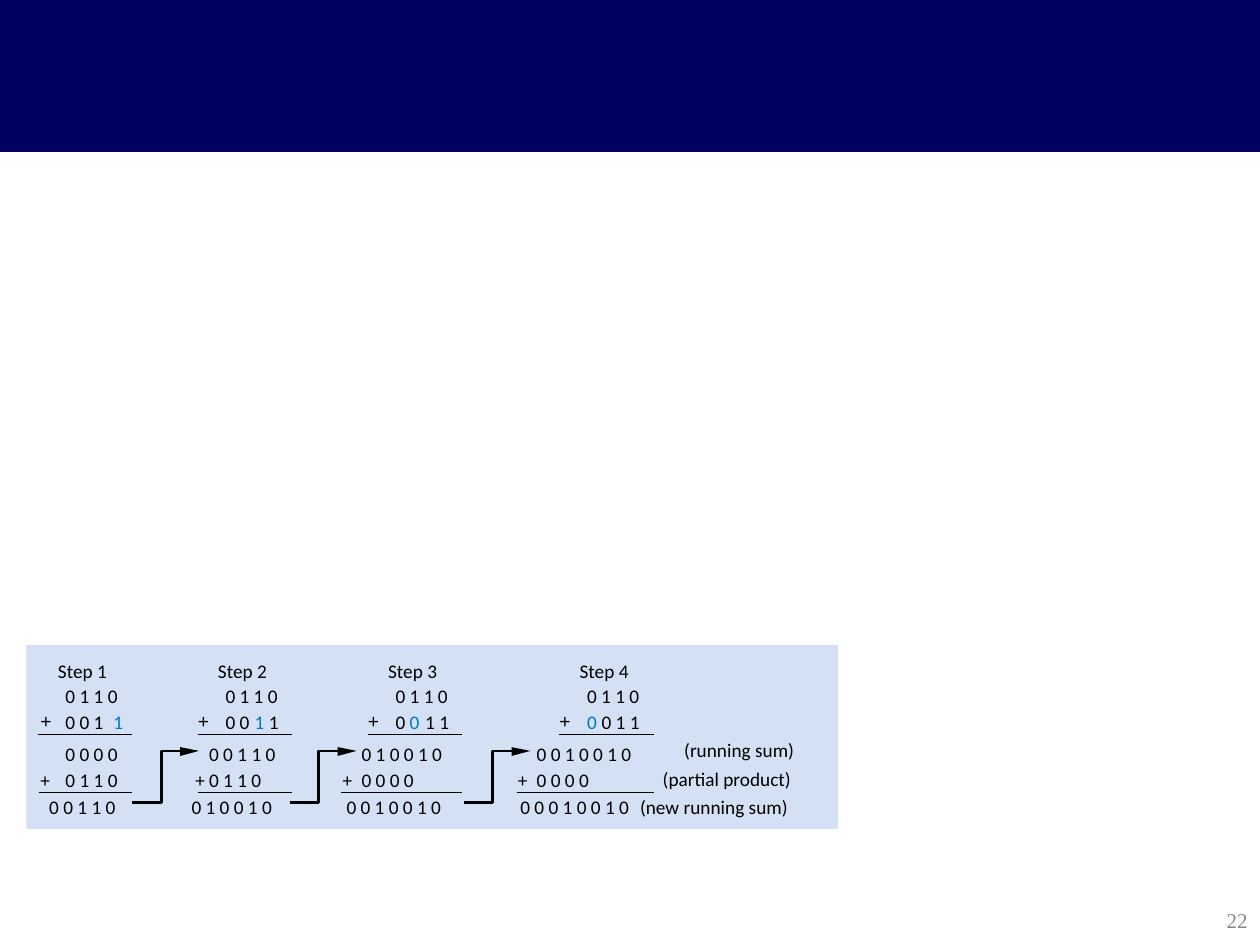
import pptx
import pptx.util
import pptx.dml.color
import pptx.enum.shapes
import pptx.enum.text
import pptx.oxml.ns
import lxml.etree
from collections import namedtuple

Inches, Pt = pptx.util.Inches, pptx.util.Pt
RGBColor = pptx.dml.color.RGBColor

NAVY = RGBColor(0x00, 0x00, 0x60)
PALE_BLUE = RGBColor(0xD4, 0xE0, 0xF3)
BLUE = RGBColor(0x00, 0x78, 0xC1)
BLACK = RGBColor(0x00, 0x00, 0x00)
GRAY = RGBColor(0x89, 0x89, 0x89)

# Row tops shared by all steps
TITLE_Y, TOP_Y, MULTIPLIER_Y, SUM_Y, PARTIAL_Y, TOTAL_Y = 5.23, 5.43, 5.64, 5.89, 6.1, 6.31
RULE_YS = (5.83, 6.29)
ARROW_TOP, ARROW_BOTTOM = 5.96, 6.37

# x is the left edge of the four digits; multiplier holds (offset, width, text, colour)
Step = namedtuple("Step", "x multiplier sum_x running partial plus_x total_x total rule_x")
STEPS = [
    Step(0.52, [(0, 0.34, "0 0 1", BLACK), (0.38, 0.09, "1", BLUE)],
         0.52, "0 0 0 0", "0 1 1 0", 0.32, 0.39, "0 0 1 1 0", 0.31),
    Step(1.79, [(0, 0.22, "0 0", BLACK), (0.23, 0.09, "1", BLUE), (0.31, 0.13, " 1", BLACK)],
         1.66, "0 0 1 1 0", "0 1 1 0", 1.55, 1.52, "0 1 0 0 1 0", 1.57),
    Step(3.14, [(0, 0.09, "0", BLACK), (0.11, 0.09, "0", BLUE), (0.2, 0.26, " 1 1", BLACK)],
         2.87, "0 1 0 0 1 0", "0 0 0 0", 2.72, 2.75, "0 0 1 0 0 1 0", 2.71),
    Step(4.66, [(0, 0.09, "0", BLUE), (0.08, 0.38, " 0 1 1", BLACK)],
         4.26, "0 0 1 0 0 1 0", "0 0 0 0", 4.11, 4.13, "0 0 0 1 0 0 1 0", 4.1),
]
ARROW_XS = (1.05, 2.3, 3.68)
LABELS = [
    (5.43, 5.86, 1.02, "(running sum)"),
    (5.26, 6.09, 1.17, "(partial product)"),
    (5.08, 6.31, 1.36, "(new running sum)"),
]


def add_block(s, x, y, w, h, fill, line=None):
    sp = s.shapes.add_shape(pptx.enum.shapes.MSO_SHAPE.RECTANGLE,
                            Inches(x), Inches(y), Inches(w), Inches(h))
    sp.shadow.inherit = False
    sp.fill.solid()
    sp.fill.fore_color.rgb = fill
    if line is None:
        sp.line.fill.background()
    else:
        sp.line.color.rgb = line
        sp.line.width = Pt(0.75)


def add_text(s, x, y, w, text, color=BLACK, font="Calibri"):
    sp = s.shapes.add_textbox(Inches(x), Inches(y), Inches(w), Inches(0.18))
    tf = sp.text_frame
    tf.margin_left = tf.margin_right = tf.margin_top = tf.margin_bottom = 0
    tf.word_wrap = False
    p = tf.paragraphs[0]
    p.text = text
    p.font.size, p.font.name, p.font.color.rgb = Pt(11), font, color


def add_digits(s, x, y, digits):
    add_text(s, x, y, round(0.127 * len(digits.split()) - 0.04, 2), digits)


def add_rule(s, x1, x2, y):
    c = s.shapes.add_connector(pptx.enum.shapes.MSO_CONNECTOR.STRAIGHT,
                               Inches(x1), Inches(y), Inches(x2), Inches(y))
    c.line.color.rgb = BLACK
    c.line.width = Pt(0.88)
    lxml.etree.SubElement(c._element.spPr, pptx.oxml.ns.qn("a:effectLst"))


def add_outline(s, points, close):
    pts = [(Inches(x), Inches(y)) for x, y in points]
    fb = s.shapes.build_freeform(*pts[0])
    fb.add_line_segments(pts[1:], close=close)
    sp = fb.convert_to_shape()
    sp.shadow.inherit = False
    return sp


def add_carry_arrow(s, x):
    # Bent shaft
    shaft = add_outline(s, [(x + 0.41, ARROW_TOP), (x + 0.23, ARROW_TOP),
                            (x + 0.23, ARROW_BOTTOM), (x, ARROW_BOTTOM)], False)
    shaft.fill.background()
    shaft.line.color.rgb = BLACK
    shaft.line.width = Pt(1.62)
    # Slim head
    head = add_outline(s, [(x + 0.53, ARROW_TOP), (x + 0.38, ARROW_TOP - 0.03),
                           (x + 0.38, ARROW_TOP + 0.04)], True)
    head.fill.solid()
    head.fill.fore_color.rgb = BLACK
    head.line.fill.background()


def add_step(s, number, step):
    x = step.x
    add_text(s, x - 0.06, TITLE_Y, 0.45, f"Step {number}")
    add_digits(s, x, TOP_Y, "0 1 1 0")
    for dx, w, text, color in step.multiplier:
        add_text(s, x + dx, MULTIPLIER_Y, w, text, color)
    add_text(s, x - (0.2 if number == 1 else 0.22), 5.63, 0.09, "+", font="Arial")
    add_digits(s, step.sum_x, SUM_Y, step.running)
    add_text(s, step.plus_x, PARTIAL_Y, 0.09, "+")
    add_digits(s, step.sum_x, PARTIAL_Y, step.partial)
    add_digits(s, step.total_x, TOTAL_Y, step.total)
    for left, y in zip((x - 0.22, step.rule_x), RULE_YS):
        add_rule(s, left, x + 0.53, y)


def add_page_number(s, text):
    sp = s.shapes.add_textbox(Inches(7.88), Inches(7.1), Inches(2.12), Inches(0.4))
    tf = sp.text_frame
    tf.word_wrap = True
    tf.vertical_anchor = pptx.enum.text.MSO_ANCHOR.MIDDLE
    p = tf.paragraphs[0]
    p.text = text
    p.alignment = pptx.enum.text.PP_ALIGN.RIGHT
    p.font.size, p.font.name, p.font.color.rgb = Pt(12), "Times New Roman", GRAY


def main():
    prs = pptx.Presentation()
    prs.slide_width, prs.slide_height = Inches(10), Inches(7.5)
    s = prs.slides.add_slide(prs.slide_layouts[6])

    # Header band and page number
    add_block(s, 0, 0, 10, 1.2, NAVY, NAVY)
    add_page_number(s, "22")

    # Multiplication steps on a pale panel
    add_block(s, 0.21, 5.12, 6.44, 1.46, PALE_BLUE)
    for number, step in enumerate(STEPS, 1):
        add_step(s, number, step)
    for x in ARROW_XS:
        add_carry_arrow(s, x)
    for x, y, w, text in LABELS:
        add_text(s, x, y, w, text)

    prs.save("out.pptx")


if __name__ == "__main__":
    main()
